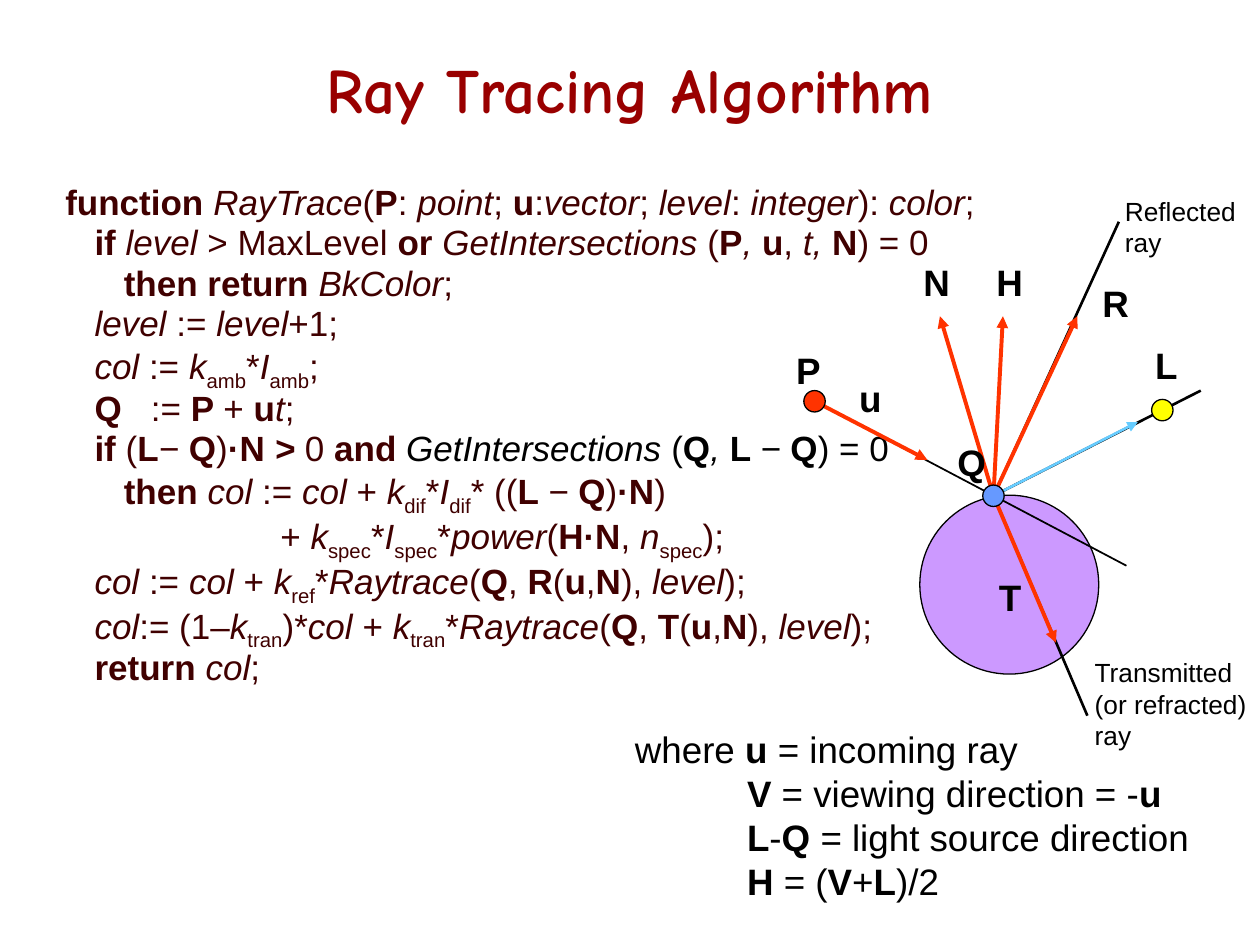
import itertools

import pptx
import pptx.dml.color
import pptx.enum.shapes
import pptx.enum.text
import pptx.oxml
import pptx.oxml.ns
import pptx.util

# The slide is a grid of 100 columns by 75 rows.
WIDE, HIGH = pptx.util.Inches(10), pptx.util.Inches(7.5)
COLS, ROWS = 100, 75

BLACK, BROWN, RED = "000000", "400000", "990000"
RAY, LIGHT = "FF3300", "66CCFF"

# Marks in text that switch a format on and off
BOLD, SLANT, SUB, DARK = "^~_|"
MARKS = BOLD + SLANT + SUB + DARK

CODE = [
    "^function ^~RayTrace~(^P^: ~point~; ^u^:~vector~; ~level~:~ integer~): ~color~;",
    "   ^if ^~level~ > MaxLevel ^or ^~GetIntersections ~(^P^~, ~^u^, ~t, ~^N^) = 0",
    "      ^then return ^~BkColor~;",
    "   ~level ~:= ~level~+1;",
    "   ~col~ := ~k~_amb_*~I~_amb_;",
    "   ^Q^   := ^P ^+ ^u^~t~;",
    "   ^if ^(^L^~− ~^Q^)^·N~ > ^~0 ^and ^|~GetIntersections ~(^Q^~, ~^L ^~− ~^Q^) = 0",
    "      ^then ^~col~ := ~col~ + ~k~_dif_*~I~_dif_* ((^L ^~− ~^Q^)^·N^)",
    "_" + " " * 38 + "_+ ~k~_spec_*~I~_spec_*~power~(^H·N^, ~n~_spec_);",
    "   ~col~ := ~col~ + ~k~_ref_*~Raytrace~(^Q^, ^R^(^u^,^N^), ~level~);",
    "   ~col~:= (1–~k~_tran_)*~col~ + ~k~_tran_*~Raytrace~(^Q^, ^T^(^u^,^N^), ~level~);",
    "   ^return ^~col~;",
]
TERMS = [
    "where^ u^ = incoming ray",
    "^V^ = viewing direction = -^u^",
    "^L^-^Q^ = light source direction",
    "^H ^= (^V^+^L^)/2",
]

# Points of the ray diagram, in columns and rows
HIT = (78.85, 39.35)
EYE = (64.65, 31.85)
LAMP = (92.25, 32.55)


def col(n):
    return int(WIDE * n / COLS)


def row(n):
    return int(HIGH * n / ROWS)


def tint(code):
    return pptx.dml.color.RGBColor.from_string(code)


def mark(para, text, size, font, color):
    """Add runs to a paragraph, switching formats at the marks."""
    on = set()
    for is_mark, part in itertools.groupby(text, key=lambda c: c in MARKS):
        part = "".join(part)
        if is_mark:
            on ^= set(part)
            continue
        run = para.add_run()
        run.text = part
        face = run.font
        face.name, face.size = font, pptx.util.Pt(size)
        face.bold, face.italic = BOLD in on, SLANT in on
        face.color.rgb = tint(BLACK if DARK in on else color)
        if SUB in on:
            face._element.set("baseline", "-25000")


def write(slide, area, lines, size=21, font="Arial", color=BLACK, wrap=True,
          mid=False, lead=None, gap=0, inset=0):
    """Add a text box; inset moves all lines but the first to the right."""
    x, y, w, h = area
    frame = slide.shapes.add_textbox(col(x), row(y), col(w), row(h)).text_frame
    frame.word_wrap = wrap
    if mid:
        frame.vertical_anchor = pptx.enum.text.MSO_ANCHOR.MIDDLE
    for i, line in enumerate(lines):
        para = frame.add_paragraph() if i else frame.paragraphs[0]
        if mid:
            para.alignment = pptx.enum.text.PP_ALIGN.CENTER
        if lead:
            para.line_spacing = lead
        if i and gap:
            para.space_before = pptx.util.Pt(gap)
        if i and inset:
            para._p.get_or_add_pPr().set("marL", str(col(inset)))
        for j, piece in enumerate(line.split("\n")):
            if j:
                para.add_line_break()
            mark(para, piece, size, font, color)


def disc(slide, spot, size, fill):
    """Add a circle around its centre."""
    x, y = spot
    kind = pptx.enum.shapes.MSO_SHAPE.OVAL
    shape = slide.shapes.add_shape(
        kind, col(x - size / 2), row(y - size / 2), col(size), row(size))
    shape.shadow.inherit = False
    shape.fill.solid()
    shape.fill.fore_color.rgb = tint(fill)
    shape.line.color.rgb = tint(BLACK)
    shape.line.width = pptx.util.Pt(0.75)


def ray(slide, start, end, color=BLACK, width=1.5, tip=False):
    """Add a straight line, with an arrowhead at its end if tip is set."""
    kind = pptx.enum.shapes.MSO_CONNECTOR.STRAIGHT
    line = slide.shapes.add_connector(
        kind, col(start[0]), row(start[1]), col(end[0]), row(end[1]))
    line.line.color.rgb = tint(color)
    line.line.width = pptx.util.Pt(width)
    if tip:
        head = pptx.oxml.ns.qn("a:tailEnd")
        line.line._get_or_add_ln().makeelement(head)
        pptx.oxml.parse_xml  # namespace-aware factory made the element class
        end_mark = line.line._get_or_add_ln().makeelement(head, {"type": "triangle"})
        line.line._get_or_add_ln().append(end_mark)
    props = line._element.spPr
    props.append(props.makeelement(pptx.oxml.ns.qn("a:effectLst")))


def draw(slide):
    """Draw the rays around the hit point."""
    disc(slide, (80.1, 46.4), 14.2, "CC99FF")

    # Plain rays run on past the arrows
    for start, end, width in [
        (HIT, (88.8, 17.6), 1.5),
        (HIT, (95.3, 31), 1.5),
        (EYE, (89.4, 44.9), 1),
        (HIT, (86.3, 56.8), 1.5),
    ]:
        ray(slide, start, end, width=width)

    # Arrows
    ray(slide, HIT, (90.3, 33.5), LIGHT, tip=True)
    ray(slide, EYE, (73.6, 36.5), RAY, 2.25, tip=True)
    for end in [(85.5, 25.1), (79.6, 25.1), (83.8, 51), (74.6, 25.1)]:
        ray(slide, HIT, end, RAY, 2.25, tip=True)

    # Points
    for spot, fill in [(LAMP, "FFFF00"), (EYE, RAY), (HIT, "6699FF")]:
        disc(slide, spot, 1.7, fill)

    # Letters
    for name, x, y in [
        ("R", 86.5, 21.8), ("L", 90.7, 26.7), ("P", 62.2, 27.1),
        ("u", 67.2, 29.3), ("H", 78.1, 20.1), ("T", 78.3, 45.1),
        ("N", 72.3, 20.1), ("Q", 75, 34.4),
    ]:
        write(slide, (x, y, 4, 4.5), [BOLD + name], wrap=False)


def main():
    deck = pptx.Presentation()
    deck.slide_width, deck.slide_height = WIDE, HIGH
    slide = deck.slides.add_slide(deck.slide_layouts[6])

    # Title and code
    write(slide, (7.5, 2.5, 85, 9), ["^Ray Tracing Algorithm"],
          size=36, font="Comic Neue", color=RED, mid=True)
    write(slide, (4.2, 14.5, 83.3, 44.1), CODE,
          size=20, color=BROWN, lead=0.8, gap=3.7)

    draw(slide)

    # Terms and ray captions
    write(slide, (49.4, 57.2, 46.1, 15), TERMS, inset=8.9)
    write(slide, (85.9, 51.6, 14.3, 8.5),
          ["Transmitted\n(or refracted)\nray"], size=15)
    write(slide, (88.3, 15, 11.7, 6), ["Reflected\nray"], size=15)

    deck.save("out.pptx")


if __name__ == "__main__":
    main()
